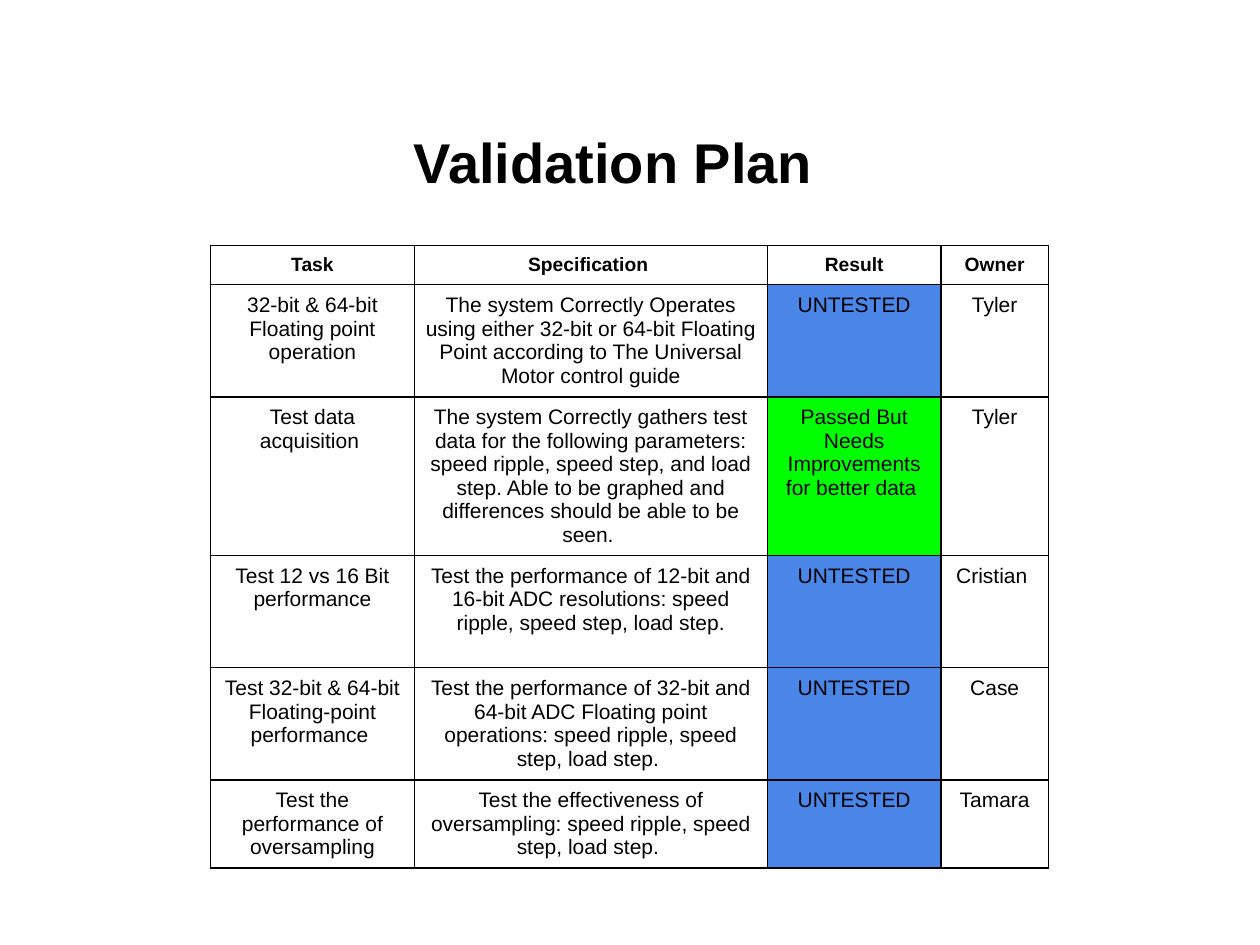
from lxml import etree
from pptx import Presentation
from pptx.dml.color import RGBColor
from pptx.enum.text import MSO_ANCHOR, PP_ALIGN
from pptx.oxml.ns import qn
from pptx.util import Inches, Pt

CENTER = PP_ALIGN.CENTER
TOP = MSO_ANCHOR.TOP
MIDDLE = MSO_ANCHOR.MIDDLE
BLACK = RGBColor(0x00, 0x00, 0x00)
BLUE = RGBColor(0x4A, 0x86, 0xE8)
GREEN = RGBColor(0x00, 0xFF, 0x00)

COL_WIDTHS = [1.62, 2.8, 1.38, 0.85]
ROW_HEIGHTS = [0.31, 0.89, 1.25, 0.89, 0.89, 0.7]
ROWS = [
    ("Task", "Specification ", "Result", "Owner"),
    ("32-bit & 64-bit Floating point operation",
     "The system Correctly Operates using either 32-bit or 64-bit Floating Point "
     "according to The Universal Motor control guide",
     "UNTESTED", "Tyler"),
    ("Test data acquisition ",
     "The system Correctly gathers test data for the following parameters: "
     "speed ripple, speed step, and load step. Able to be graphed and differences "
     "should be able to be seen. ",
     "Passed But Needs Improvements for better data ", "Tyler"),
    ("Test 12 vs 16 Bit performance",
     "Test the performance of 12-bit and 16-bit ADC resolutions: speed ripple, "
     "speed step, load step.",
     "UNTESTED", "Cristian "),
    ("Test 32-bit & 64-bit Floating-point performance ",
     "Test the performance of 32-bit and 64-bit ADC Floating point operations: "
     "speed ripple, speed step, load step. ",
     "UNTESTED", "Case"),
    ("Test the performance of oversampling",
     "Test the effectiveness of oversampling: speed ripple, speed step, load step. ",
     "UNTESTED", "Tamara"),
]


def format_text(p, size, bold):
    p.alignment = CENTER
    p.font.name = "Arial"
    p.font.size = Pt(size)
    p.font.bold = bold
    p.font.color.rgb = BLACK


def add_borders(cell):
    tc_pr = cell._tc.get_or_add_tcPr()
    for i, side in enumerate(("a:lnL", "a:lnR", "a:lnT", "a:lnB")):
        ln = etree.Element(qn(side), w=str(Pt(1)))
        fill = etree.SubElement(ln, qn("a:solidFill"))
        etree.SubElement(fill, qn("a:srgbClr"), val=str(BLACK))
        tc_pr.insert(i, ln)


prs = Presentation()
prs.slide_width = Inches(10)
prs.slide_height = Inches(7.5)
s = prs.slides.add_slide(prs.slide_layouts[5])

title = s.shapes.title
title.left, title.top = Inches(0.43), Inches(0.84)
title.width, title.height = Inches(9), Inches(0.88)
tf = title.text_frame
tf.text = "Validation Plan "
tf.vertical_anchor = MIDDLE
format_text(tf.paragraphs[0], 32, True)

table = s.shapes.add_table(
    len(ROWS), len(COL_WIDTHS), Inches(1.67), Inches(1.95),
    Inches(sum(COL_WIDTHS)), Inches(sum(ROW_HEIGHTS))).table
table.first_row = False
table.horz_banding = False
for col, width in zip(table.columns, COL_WIDTHS):
    col.width = Inches(width)

for r, (row, height) in enumerate(zip(ROWS, ROW_HEIGHTS)):
    table.rows[r].height = Inches(height)
    for c, text in enumerate(row):
        cell = table.cell(r, c)
        cell.text = text
        cell.vertical_anchor = TOP
        cell.margin_left = cell.margin_right = Inches(0.07)
        cell.margin_top = cell.margin_bottom = Inches(0.07)
        format_text(cell.text_frame.paragraphs[0], 11 if r == 0 else 12, r == 0)
        if r > 0 and c == 2:
            cell.fill.solid()
            cell.fill.fore_color.rgb = BLUE if text == "UNTESTED" else GREEN
        else:
            cell.fill.background()
        add_borders(cell)

prs.save("out.pptx")
